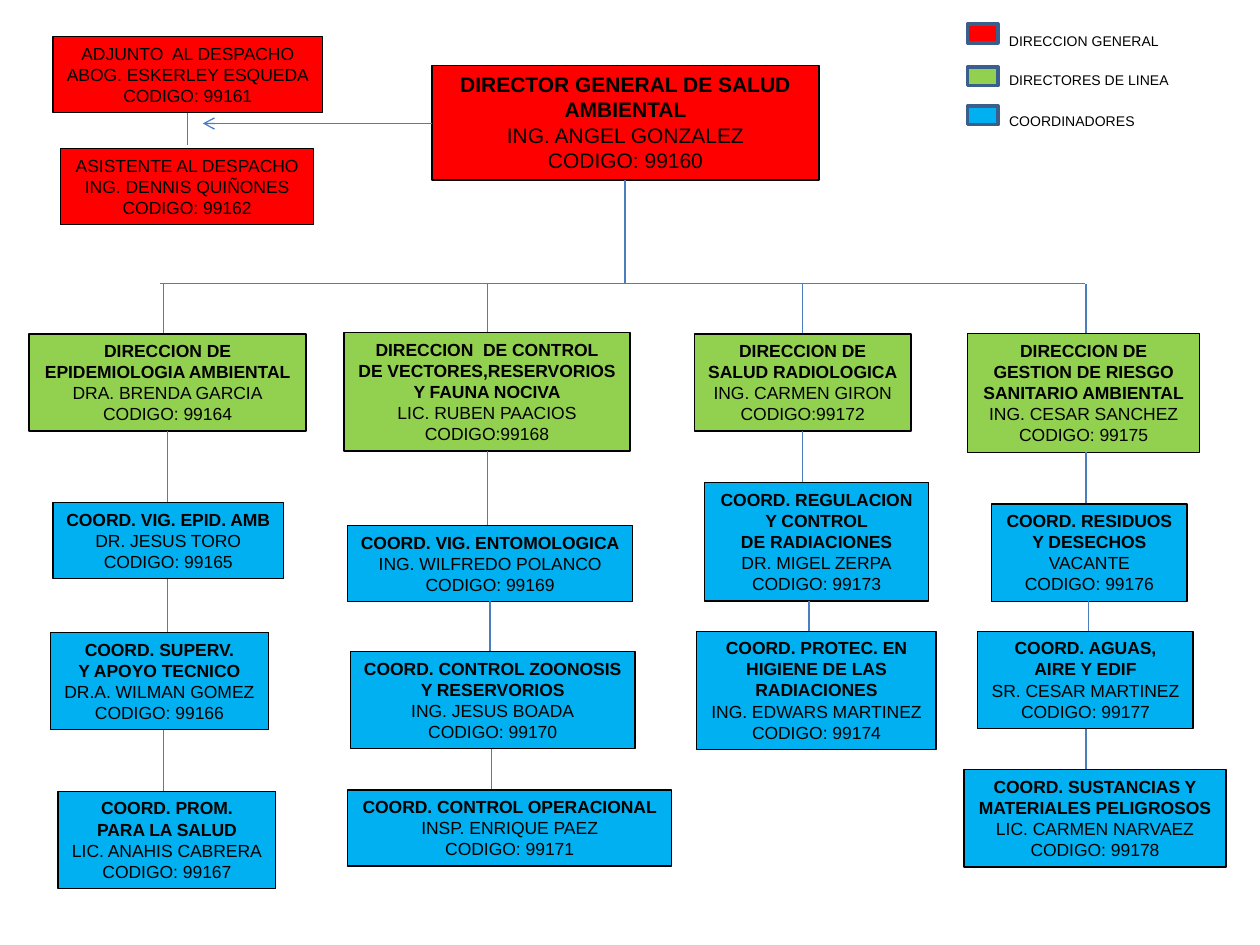
from lxml import etree
from pptx import Presentation
from pptx import util as u
from pptx.dml.color import RGBColor
from pptx.enum import shapes, text
from pptx.oxml.ns import qn

RED = RGBColor(0xFF, 0x00, 0x00)
GREEN = RGBColor(0x92, 0xD0, 0x50)
BLUE = RGBColor(0x00, 0xB0, 0xF0)
BLACK = RGBColor(0x00, 0x00, 0x00)
LINK = RGBColor(0x4B, 0x7E, 0xBC)
LEGEND_EDGE = RGBColor(0x3A, 0x5F, 0x8C)
FONT = "Arial"
PADDING = 0.1
BUS_Y = 2.25
BUS_LEFT, BUS_RIGHT = 1.27, 8.61

DIRECTOR = (3.43, 0.52, 3.07, ["DIRECTOR GENERAL DE SALUD AMBIENTAL"],
            ["ING. ANGEL GONZALEZ", "CODIGO: 99160"])
OFFICE = [
    (0.42, 0.29, 2.14, [], ["ADJUNTO  AL DESPACHO", "ABOG. ESKERLEY ESQUEDA", "CODIGO: 99161"]),
    (0.48, 1.18, 2.01, [], ["ASISTENTE AL DESPACHO", "ING. DENNIS QUIÑONES", "CODIGO: 99162"]),
]
BRANCHES = [
    [
        (1.3, (0.23, 2.65, 2.2, ["DIRECCION DE", "EPIDEMIOLOGIA AMBIENTAL"],
               ["DRA. BRENDA GARCIA", "CODIGO: 99164"])),
        (1.33, (0.42, 3.99, 1.83, ["COORD. VIG. EPID. AMB"],
                ["DR. JESUS TORO", "CODIGO: 99165"])),
        (1.33, (0.4, 5.02, 1.73, ["COORD. SUPERV.", "Y APOYO TECNICO"],
                ["DR.A. WILMAN GOMEZ", "CODIGO: 99166"])),
        (1.3, (0.46, 6.28, 1.73, ["COORD. PROM.", "PARA LA SALUD"],
               ["LIC. ANAHIS CABRERA", "CODIGO: 99167"])),
    ],
    [
        (3.87, (2.73, 2.64, 2.27, ["DIRECCION  DE CONTROL", "DE VECTORES,RESERVORIOS", "Y FAUNA NOCIVA"],
                ["LIC. RUBEN PAACIOS", "CODIGO:99168"])),
        (3.87, (2.76, 4.17, 2.26, ["COORD. VIG. ENTOMOLOGICA"],
                ["ING. WILFREDO POLANCO", "CODIGO: 99169"])),
        (3.89, (2.78, 5.17, 2.26, ["COORD. CONTROL ZOONOSIS", "Y RESERVORIOS"],
                ["ING. JESUS BOADA", "CODIGO: 99170"])),
        (3.9, (2.76, 6.27, 2.57, ["COORD. CONTROL OPERACIONAL"],
               ["INSP. ENRIQUE PAEZ", "CODIGO: 99171"])),
    ],
    [
        (6.37, (5.51, 2.65, 1.72, ["DIRECCION DE", "SALUD RADIOLOGICA"],
                ["ING. CARMEN GIRON", "CODIGO:99172"])),
        (6.37, (5.59, 3.83, 1.78, ["COORD. REGULACION", "Y CONTROL", "DE RADIACIONES"],
                ["DR. MIGEL ZERPA", "CODIGO: 99173"])),
        (6.42, (5.53, 5.01, 1.9, ["COORD. PROTEC. EN", "HIGIENE DE LAS", "RADIACIONES"],
                ["ING. EDWARS MARTINEZ", "CODIGO: 99174"])),
    ],
    [
        (8.62, (7.68, 2.65, 1.84, ["DIRECCION DE", "GESTION DE RIESGO", "SANITARIO AMBIENTAL"],
                ["ING. CESAR SANCHEZ", "CODIGO: 99175"])),
        (8.62, (7.87, 4, 1.55, ["COORD. RESIDUOS", "Y DESECHOS"],
                ["VACANTE", "CODIGO: 99176"])),
        (8.64, (7.76, 5.01, 1.71, ["COORD. AGUAS,", "AIRE Y EDIF"],
                ["SR. CESAR MARTINEZ", "CODIGO: 99177"])),
        (8.62, (7.65, 6.11, 2.08, ["COORD. SUSTANCIAS Y", "MATERIALES PELIGROSOS"],
                ["LIC. CARMEN NARVAEZ", "CODIGO: 99178"])),
    ],
]
LEGEND = [
    (0.19, 0.21, 1.4, RED, "DIRECCION GENERAL"),
    (0.53, 0.52, 1.48, GREEN, "DIRECTORES DE LINEA"),
    (0.84, 0.84, 1.21, BLUE, "COORDINADORES"),
]


def add_line_of_text(paragraph, words, size, bold=False):
    run = paragraph.add_run()
    run.text = words
    run.font.name = FONT
    run.font.size = u.Pt(size)
    run.font.bold = bold
    run.font.color.rgb = BLACK


def add_rectangle(slide, left, top, width, height, fill, edge, weight):
    rectangle = slide.shapes.add_shape(
        shapes.MSO_SHAPE.RECTANGLE, *map(u.Inches, (left, top, width, height)))
    rectangle.shadow.inherit = False
    rectangle.fill.solid()
    rectangle.fill.fore_color.rgb = fill
    rectangle.line.color.rgb = edge
    rectangle.line.width = u.Pt(weight)
    return rectangle


def add_post(slide, post, fill, size=10, wrap=False, height=None):
    left, top, width, unit, holder = post
    lines = [(words, True) for words in unit] + [(words, False) for words in holder]
    height = height or PADDING + 0.168 * len(lines)
    frame = add_rectangle(slide, left, top, width, height, fill, BLACK, 0.75).text_frame
    frame.word_wrap = wrap
    frame.auto_size = text.MSO_AUTO_SIZE.SHAPE_TO_FIT_TEXT
    frame.vertical_anchor = text.MSO_ANCHOR.TOP
    for index, (words, bold) in enumerate(lines):
        paragraph = frame.add_paragraph() if index else frame.paragraphs[0]
        paragraph.alignment = text.PP_ALIGN.CENTER
        add_line_of_text(paragraph, words, size, bold)
    return top + height


def add_link(slide, x1, y1, x2, y2, arrow=False):
    link = slide.shapes.add_connector(
        shapes.MSO_CONNECTOR.STRAIGHT, *map(u.Inches, (x1, y1, x2, y2)))
    link.line.color.rgb = LINK
    link.line.width = u.Pt(0.75)
    properties = link._element.spPr
    if arrow:
        etree.SubElement(properties.find(qn("a:ln")), qn("a:tailEnd"), type="arrow")
    etree.SubElement(properties, qn("a:effectLst"))


def add_legend(slide):
    for swatch_top, label_top, label_width, color, words in LEGEND:
        add_rectangle(slide, 7.68, swatch_top, 0.24, 0.15, color, LEGEND_EDGE, 2)
        label = slide.shapes.add_textbox(
            *map(u.Inches, (7.91, label_top, label_width, 0.24))).text_frame
        label.word_wrap = False
        label.auto_size = text.MSO_AUTO_SIZE.SHAPE_TO_FIT_TEXT
        add_line_of_text(label.paragraphs[0], words, 8)


def main():
    deck = Presentation()
    deck.slide_width, deck.slide_height = u.Inches(10), u.Inches(7.5)
    slide = deck.slides.add_slide(deck.slide_layouts[6])

    director_bottom = add_post(slide, DIRECTOR, RED, size=12, wrap=True, height=0.91)
    adjunct_bottom, _ = [add_post(slide, post, RED) for post in OFFICE]
    add_link(slide, 1.49, adjunct_bottom, 1.49, 1.15)
    add_link(slide, 4.96, director_bottom, 4.96, BUS_Y)
    add_link(slide, BUS_LEFT, BUS_Y, BUS_RIGHT, BUS_Y)
    add_link(slide, DIRECTOR[0], 0.98, 1.61, 0.98, arrow=True)

    for branch in BRANCHES:
        above = BUS_Y
        for level, (link_x, post) in enumerate(branch):
            add_link(slide, link_x, above, link_x, post[1])
            above = add_post(slide, post, BLUE if level else GREEN)

    add_legend(slide)
    deck.save("out.pptx")


if __name__ == "__main__":
    main()
